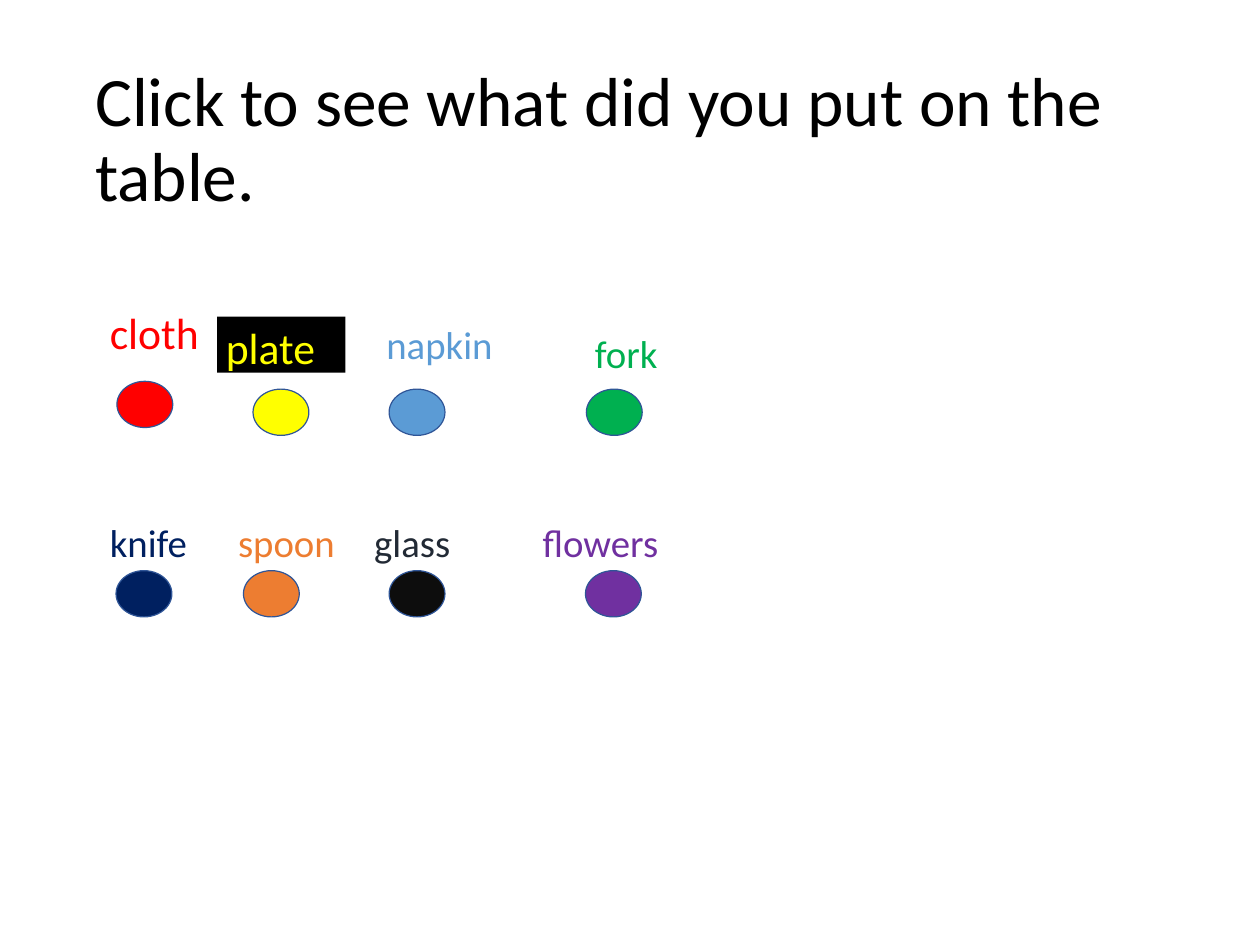
"""Build a slide that names table items above matching coloured dots."""
import pptx
import pptx.dml.color
import pptx.enum.shapes
import pptx.enum.text
import pptx.util
from pptx.util import Inches

COLOURS = {
    "black": "000000", "outline": "2F5597", "red": "FF0000", "yellow": "FFFF00",
    "blue": "5B9BD5", "green": "00B050", "navy": "002060", "orange": "ED7D31",
    "ink": "0D0D0D", "slate": "222A35", "purple": "7030A0",
}
DOT_WIDTH, DOT_HEIGHT = 0.64, 0.53


def colour(name):
    return pptx.dml.color.RGBColor.from_string(COLOURS[name])


def write(shape, text, size, colour_name):
    shape.text_frame.text = text
    shape.text_frame.word_wrap = True
    paragraph = shape.text_frame.paragraphs[0]
    paragraph.alignment = pptx.enum.text.PP_ALIGN.LEFT
    font = paragraph.runs[0].font
    font.name = "Calibri"
    font.size = pptx.util.Pt(size)
    font.color.rgb = colour(colour_name)


presentation = pptx.Presentation()
presentation.slide_width = Inches(14.44)
presentation.slide_height = Inches(10.83)
slide = presentation.slides.add_slide(presentation.slide_layouts[5])

title = slide.shapes.title
title.left, title.top = Inches(0.99), Inches(0.58)
title.width, title.height = Inches(12.46), Inches(2.09)
write(title, "Click to see what did you put on the table.", 57.2, "black")
title.text_frame.auto_size = pptx.enum.text.MSO_AUTO_SIZE.NONE
title.text_frame.vertical_anchor = pptx.enum.text.MSO_ANCHOR.MIDDLE
title.text_frame.paragraphs[0].line_spacing = 0.9

items = [
    ("cloth", 36, "red", "red", (1.16, 3.46, 1.39, 0.71), (1.34, 4.37)),
    ("plate", 36, "yellow", "yellow", (2.49, 3.63, 1.47, 0.64), (2.9, 4.46)),
    ("napkin", 32, "blue", "blue", (4.33, 3.63, 1.74, 0.64), (4.46, 4.46)),
    ("fork", 32, "green", "green", (6.72, 3.73, 1.33, 0.64), (6.72, 4.46)),
    ("knife", 32, "navy", "navy", (1.16, 5.9, 1.48, 0.64), (1.33, 6.54)),
    ("spoon", 32, "orange", "orange", (2.63, 5.9, 1.4, 0.64), (2.79, 6.54)),
    ("glass", 32, "slate", "ink", (4.19, 5.9, 1.16, 0.64), (4.46, 6.54)),
    ("flowers", 32, "purple", "purple", (6.12, 5.9, 2.09, 0.64), (6.71, 6.54)),
]
for word, size, text_colour, dot_colour, label_box, (dot_left, dot_top) in items:
    label = slide.shapes.add_textbox(*map(Inches, label_box))
    write(label, word, size, text_colour)
    if word == "plate":
        label.fill.solid()
        label.fill.fore_color.rgb = colour("black")
    else:
        label.text_frame.auto_size = pptx.enum.text.MSO_AUTO_SIZE.SHAPE_TO_FIT_TEXT

    dot = slide.shapes.add_shape(
        pptx.enum.shapes.MSO_SHAPE.OVAL,
        Inches(dot_left), Inches(dot_top), Inches(DOT_WIDTH), Inches(DOT_HEIGHT),
    )
    dot.shadow.inherit = False
    dot.fill.solid()
    dot.fill.fore_color.rgb = colour(dot_colour)
    dot.line.color.rgb = colour("outline")
    dot.line.width = pptx.util.Pt(1)

presentation.save("out.pptx")
